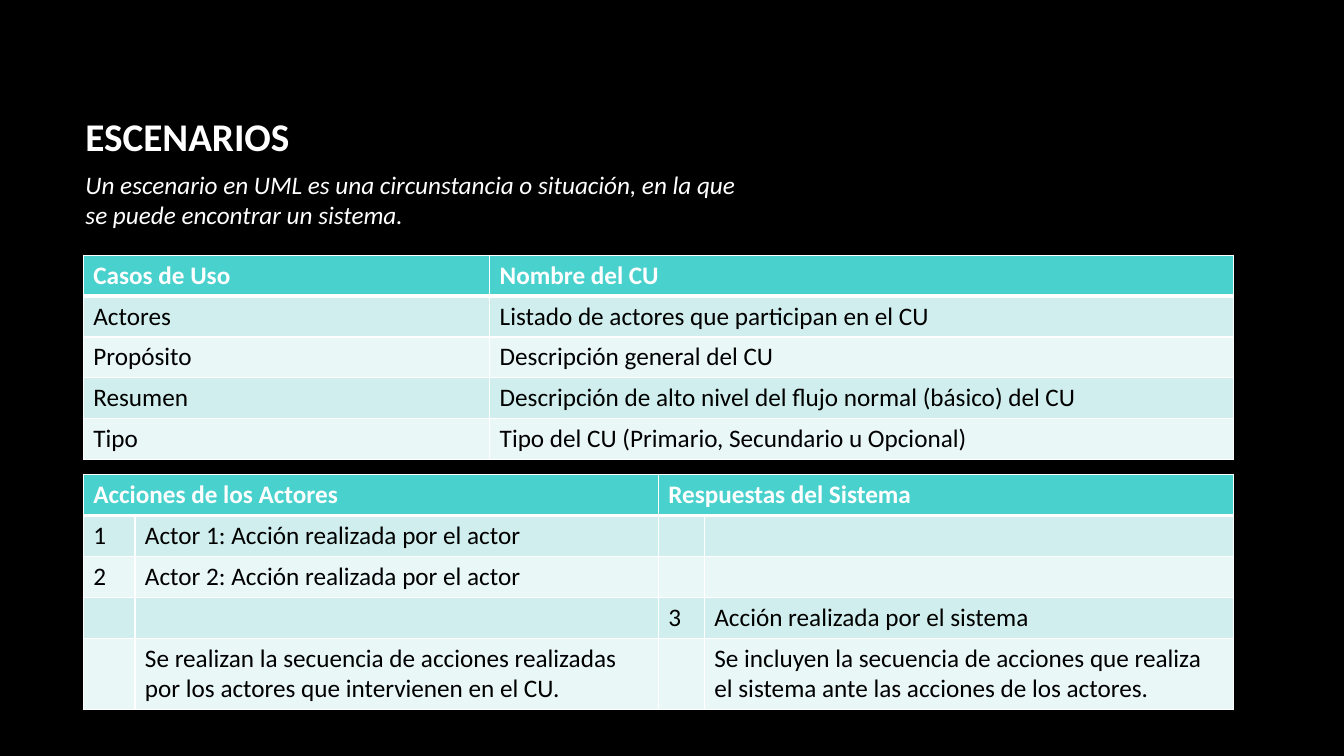
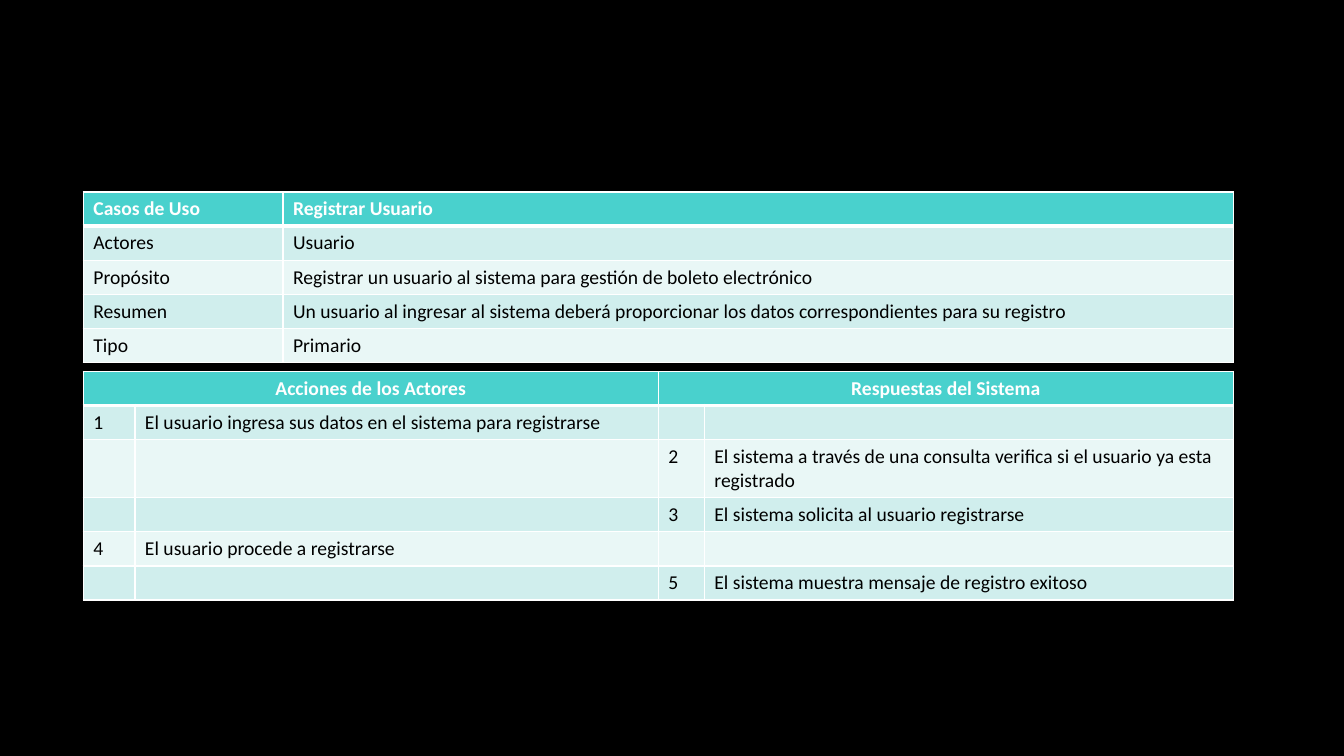
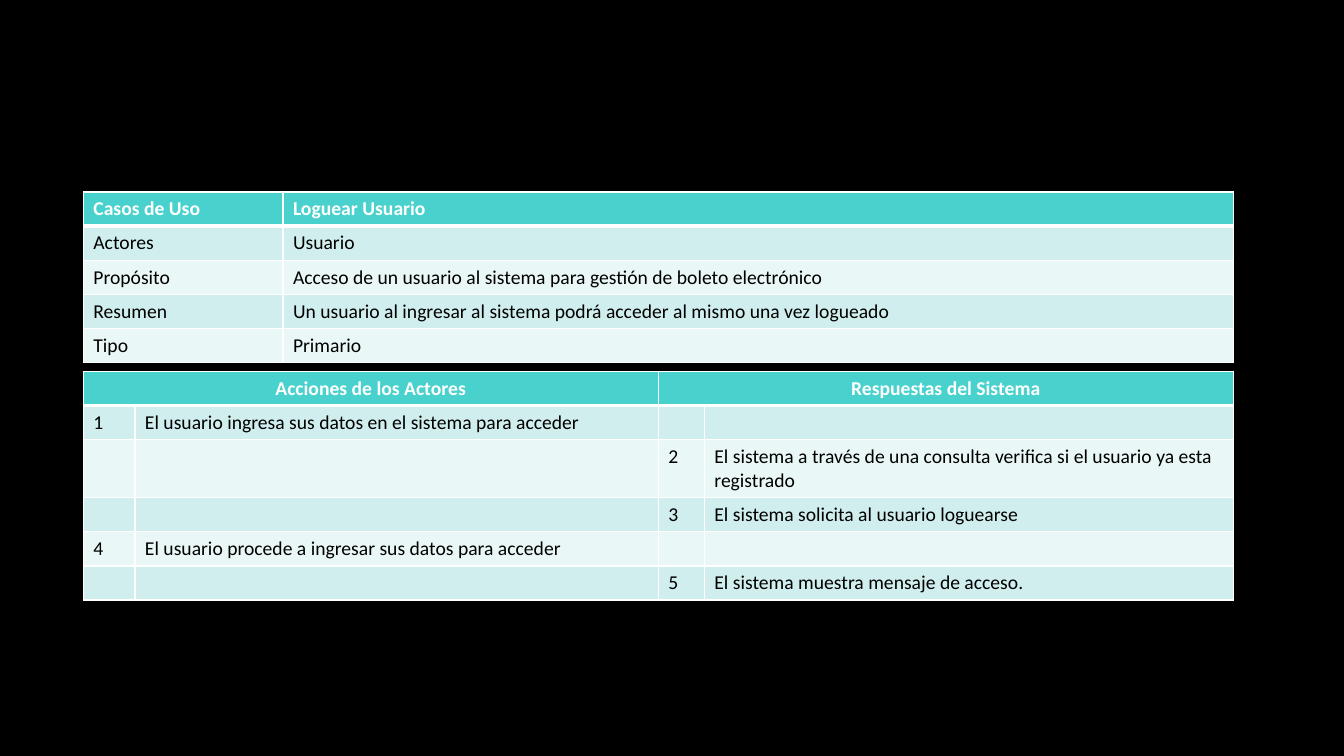
from lxml import etree
from pptx import Presentation
from pptx.dml.color import RGBColor
from pptx.enum import text
from pptx.oxml.ns import qn
from pptx.util import Cm, Pt

# Shared style
FONT = "Calibri"
BLACK = RGBColor(0x00, 0x00, 0x00)
WHITE = RGBColor(0xFF, 0xFF, 0xFF)
TURQUOISE = RGBColor(0x49, 0xD1, 0xCD)
BANDS = (RGBColor(0xD0, 0xEE, 0xED), RGBColor(0xE9, 0xF7, 0xF6))

# Shared table grid, in cm
LEFT, WIDTH = 2.1, 28.98
HALF = WIDTH / 2
FLOW_COLS = (1.3, HALF - 1.3, 1.16, HALF - 1.16)
FLOW_HEADS = ("Acciones de los Actores", "", "Respuestas del Sistema", "")
SUMMARY_LABELS = ("Casos de Uso", "Actores", "Propósito", "Resumen", "Tipo")


def write(tf, content, size=18, color=WHITE, bold=False, italic=False,
          align=text.PP_ALIGN.LEFT, after=0):
    """Fill the first paragraph of a text frame."""
    p = tf.paragraphs[0]
    p.alignment = align
    p.space_before, p.space_after = Pt(0), Pt(after)
    if not content:
        # An empty cell keeps the row's text size
        etree.SubElement(p._p, qn("a:endParaRPr"), sz=str(size * 100))
        return
    r = p.add_run()
    r.text = content
    f = r.font
    f.name, f.size, f.bold, f.italic = FONT, Pt(size), bold, italic
    f.color.rgb = color


def place(sp, left, top, width, height, anchor):
    """Move a placeholder and fix its text layout."""
    sp.left, sp.top, sp.width, sp.height = map(Cm, (left, top, width, height))
    tf = sp.text_frame
    tf.word_wrap = True
    tf.auto_size = text.MSO_AUTO_SIZE.NONE
    tf.vertical_anchor = anchor
    return tf


def set_borders(cell, **widths):
    """Draw white borders; widths are points by side (L, R, T, B)."""
    tcPr = cell._tc.get_or_add_tcPr()
    for side in "LRTB":
        ln = etree.SubElement(tcPr, qn(f"a:ln{side}"), w=str(Pt(widths.get(side, 1))))
        fill = etree.SubElement(ln, qn("a:solidFill"))
        etree.SubElement(fill, qn("a:srgbClr"), val=str(WHITE))


def add_grid(s, top, cols, heights, rows, size, head_align=text.PP_ALIGN.LEFT):
    """Add a banded table with a turquoise header row."""
    tbl = s.shapes.add_table(len(rows), len(cols), Cm(LEFT), Cm(top),
                             Cm(WIDTH), Cm(sum(heights))).table
    tbl.first_row = tbl.horz_banding = False
    for col, width in zip(tbl.columns, cols):
        col.width = Cm(width)
    for i, (values, height) in enumerate(zip(rows, heights)):
        tbl.rows[i].height = Cm(height)
        for j, value in enumerate(values):
            cell = tbl.cell(i, j)
            if i == 0:
                set_borders(cell, B=3)
                fill = TURQUOISE
                write(cell.text_frame, value, size, bold=True, align=head_align)
            else:
                set_borders(cell, T=3 if i == 1 else 1)
                fill = BANDS[(i - 1) % 2]
                write(cell.text_frame, value, size, BLACK)
            cell.fill.solid()
            cell.fill.fore_color.rgb = fill
    return tbl


def add_summary(s, top, label_width, row_height, values, size):
    """Use case name, actors, purpose, summary and type."""
    add_grid(s, top, (label_width, WIDTH - label_width),
             [row_height] * len(values), list(zip(SUMMARY_LABELS, values)), size)


def add_flow(s, top, heights, steps, size, head_align=text.PP_ALIGN.LEFT):
    """Numbered actor actions beside system responses."""
    tbl = add_grid(s, top, FLOW_COLS, heights, [FLOW_HEADS, *steps], size, head_align)
    for j in (0, 2):
        tbl.cell(0, j).merge(tbl.cell(0, j + 1))


def scenarios_slide(prs):
    s = prs.slides.add_slide(prs.slide_layouts[1])
    title, body = s.placeholders
    tf = place(title, 1.9, 0.33, 17.12, 3.81, text.MSO_ANCHOR.BOTTOM)
    write(tf, "ESCENARIOS", 28, bold=True)

    # Definition, without the template's bullet
    tf = place(body, 1.9, 4.14, 17.12, 5.08, text.MSO_ANCHOR.TOP)
    pPr = tf.paragraphs[0]._p.get_or_add_pPr()
    pPr.set("marL", "0")
    pPr.set("indent", "0")
    etree.SubElement(pPr, qn("a:buNone"))
    write(tf, "Un escenario en UML es una circunstancia o situación, en la que "
              "se puede encontrar un sistema.", italic=True, after=10)

    # Scenario template
    add_summary(s, 6.43, 10.24, 1.03, (
        "Nombre del CU",
        "Listado de actores que participan en el CU",
        "Descripción general del CU",
        "Descripción de alto nivel del flujo normal (básico) del CU",
        "Tipo del CU (Primario, Secundario u Opcional)"), 18)
    add_flow(s, 11.96, [1.03] * 4 + [1.78], (
        ("1", "Actor 1: Acción realizada por el actor", "", ""),
        ("2", "Actor 2: Acción realizada por el actor", "", ""),
        ("", "", "3", "Acción realizada por el sistema"),
        ("", "Se realizan la secuencia de acciones realizadas por los actores "
             "que intervienen en el CU.",
         "", "Se incluyen la secuencia de acciones que realiza el sistema ante "
             "las acciones de los actores.")), 18)


def use_case_slide(prs, name, purpose, summary, entry, request, action, result):
    """One use case with the user's steps and the system's answers."""
    s = prs.slides.add_slide(prs.slide_layouts[6])
    add_summary(s, 4.84, 5.03, 0.86,
                (name, "Usuario", purpose, summary, "Primario"), 14)
    add_flow(s, 9.36, [0.86, 0.86, 1.46, 0.86, 0.86, 0.86], (
        ("1", entry, "", ""),
        ("", "", "2", "El sistema a través de una consulta verifica si el "
                      "usuario ya esta registrado"),
        ("", "", "3", request),
        ("4", action, "", ""),
        ("", "", "5", result)), 14, text.PP_ALIGN.CENTER)


def main():
    prs = Presentation()
    prs.slide_width, prs.slide_height = Cm(33.87), Cm(19.05)
    bg = prs.slide_master.background.fill
    bg.solid()
    bg.fore_color.rgb = BLACK

    scenarios_slide(prs)
    use_case_slide(
        prs, "Registrar Usuario",
        purpose="Registrar un usuario al sistema para gestión de boleto electrónico",
        summary="Un usuario al ingresar al sistema deberá proporcionar los datos "
                "correspondientes para su registro",
        entry="El usuario ingresa sus datos en el sistema para registrarse",
        request="El sistema solicita al usuario registrarse",
        action="El usuario procede a registrarse",
        result="El sistema muestra mensaje de registro exitoso")
    use_case_slide(
        prs, "Loguear Usuario",
        purpose="Acceso de un usuario al sistema para gestión de boleto electrónico",
        summary="Un usuario al ingresar al sistema podrá acceder al mismo una vez logueado",
        entry="El usuario ingresa sus datos en el sistema para acceder",
        request="El sistema solicita al usuario loguearse",
        action="El usuario procede a ingresar sus datos para acceder",
        result="El sistema muestra mensaje de acceso.")
    prs.save("out.pptx")


if __name__ == "__main__":
    main()
